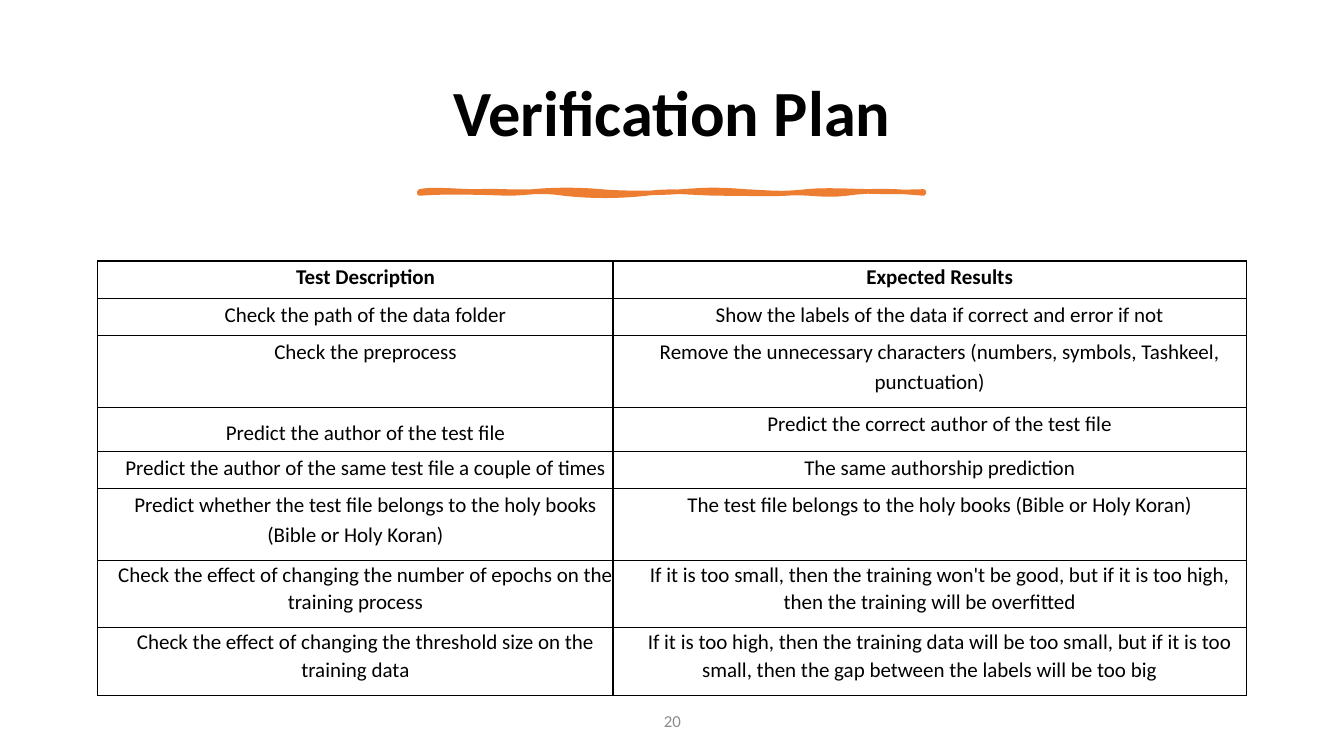
from lxml.etree import SubElement
from pptx import Presentation
from pptx.dml.color import RGBColor
from pptx.enum.text import MSO_ANCHOR as Anchor, PP_ALIGN as Align
from pptx.oxml.ns import qn
from pptx.util import Inches, Pt

BLACK = RGBColor(0x00, 0x00, 0x00)
GRAY = RGBColor(0x8C, 0x8C, 0x8C)
ORANGE = RGBColor(0xED, 0x7D, 0x31)
FONT = "Calibri"

COLUMN_WIDTHS = [5.11, 6.28]
ROW_HEIGHTS = [0.37, 0.37, 0.71, 0.44, 0.37, 0.71, 0.67, 0.67]
TESTS = [
    ("Test Description", "Expected Results"),
    ("Check the path of the data folder",
     "Show the labels of the data if correct and error if not"),
    ("Check the preprocess",
     "Remove the unnecessary characters (numbers, symbols, Tashkeel, punctuation)"),
    ("Predict the author of the test file",
     "Predict the correct author of the test file"),
    ("Predict the author of the same test file a couple of times",
     "The same authorship prediction"),
    ("Predict whether the test file belongs to the holy books (Bible or Holy Koran)",
     "The test file belongs to the holy books (Bible or Holy Koran)"),
    ("Check the effect of changing the number of epochs on the training process",
     "If it is too small, then the training won't be good, but if it is too high, "
     "then the training will be overfitted"),
    ("Check the effect of changing the threshold size on the training data",
     "If it is too high, then the training data will be too small, but if it is too "
     "small, then the gap between the labels will be too big"),
]

STROKE_START = (4.16, 1.9)
STROKE_CURVES = [
    (4.28, 1.87, 4.54, 1.9, 4.73, 1.9),
    (4.92, 1.89, 5.09, 1.91, 5.29, 1.9),
    (5.49, 1.88, 5.74, 1.88, 5.96, 1.9),
    (6.17, 1.92, 6.53, 1.92, 6.77, 1.9),
    (7.02, 1.88, 7.14, 1.88, 7.39, 1.9),
    (7.63, 1.91, 7.74, 1.93, 8, 1.9),
    (8.26, 1.87, 8.67, 1.92, 9.16, 1.9),
    (9.17, 1.91, 9.16, 1.91, 9.16, 1.92),
    (8.95, 1.9, 8.65, 1.88, 8.4, 1.92),
    (8.15, 1.95, 8.01, 1.9, 7.79, 1.92),
    (7.56, 1.93, 7.47, 1.92, 7.17, 1.92),
    (6.87, 1.92, 6.67, 1.88, 6.41, 1.92),
    (6.14, 1.95, 5.85, 1.95, 5.59, 1.92),
    (5.34, 1.88, 5.23, 1.92, 5.03, 1.92),
    (4.83, 1.91, 4.38, 1.9, 4.16, 1.92),
    (4.16, 1.91, 4.16, 1.9, 4.16, 1.9),
]


def format_text(para, size, color, bold=False):
    """Centre a paragraph and style its runs."""
    para.alignment = Align.CENTER
    for span in para.runs:
        span.font.name = FONT
        span.font.size = Pt(size)
        span.font.bold = bold
        span.font.color.rgb = color


def add_label(page, text, left, top, width, height, size, color, bold=False):
    """Add a vertically centred text box."""
    box = page.shapes.add_textbox(Inches(left), Inches(top), Inches(width), Inches(height))
    frame = box.text_frame
    frame.word_wrap = True
    frame.vertical_anchor = Anchor.MIDDLE
    frame.text = text
    para = frame.paragraphs[0]
    para.line_spacing = 0.9 if bold else 1.0
    format_text(para, size, color, bold)


def curve_points(start, curves, steps=8):
    """Return points in EMU along a chain of cubic curves."""
    points = []
    x0, y0 = start
    for x1, y1, x2, y2, x3, y3 in curves:
        for step in range(1, steps + 1):
            t = step / steps
            u = 1 - t
            weights = (u ** 3, 3 * u * u * t, 3 * u * t * t, t ** 3)
            x = sum(w * v for w, v in zip(weights, (x0, x1, x2, x3)))
            y = sum(w * v for w, v in zip(weights, (y0, y1, y2, y3)))
            points.append((Inches(x), Inches(y)))
        x0, y0 = x3, y3
    return points


def add_brush_stroke(page):
    """Draw the wavy stroke below the title."""
    left, top = STROKE_START
    builder = page.shapes.build_freeform(Inches(left), Inches(top))
    builder.add_line_segments(curve_points(STROKE_START, STROKE_CURVES), close=True)
    stroke = builder.convert_to_shape()
    stroke.shadow.inherit = False
    stroke.fill.solid()
    stroke.fill.fore_color.rgb = ORANGE
    stroke.line.color.rgb = ORANGE
    stroke.line.width = Pt(3.25)


def add_borders(cell):
    """Give a cell thin black lines on all sides."""
    properties = cell._tc.get_or_add_tcPr()
    for side in ("a:lnL", "a:lnR", "a:lnT", "a:lnB"):
        line = SubElement(properties, qn(side), w=str(Pt(1)))
        fill = SubElement(line, qn("a:solidFill"))
        SubElement(fill, qn("a:srgbClr"), val=str(BLACK))


def line_spacing(row, column):
    """Return the line spacing used in a table cell."""
    if row >= 6:
        return 1.07
    return 1.5 if (row, column) == (3, 0) else 1.15


def fill_cell(cell, text, spacing, bold):
    """Write one bordered table cell with a first-line indent."""
    add_borders(cell)
    cell.fill.background()
    cell.margin_left = cell.margin_right = cell.margin_top = cell.margin_bottom = 0
    cell.text = text
    para = cell.text_frame.paragraphs[0]
    para.line_spacing = spacing
    para.space_after = Pt(8)
    para._p.get_or_add_pPr().set("indent", str(Inches(0.2)))
    format_text(para, 15, BLACK, bold)


def add_test_table(page):
    """Add the table of tests and expected results."""
    frame = page.shapes.add_table(
        len(TESTS), len(COLUMN_WIDTHS), Inches(0.97), Inches(2.59),
        Inches(sum(COLUMN_WIDTHS)), Inches(sum(ROW_HEIGHTS)))
    table = frame.table
    table.first_row = False
    table.horz_banding = False
    for column, width in zip(table.columns, COLUMN_WIDTHS):
        column.width = Inches(width)
    for row, height in zip(table.rows, ROW_HEIGHTS):
        row.height = Inches(height)
    for row, texts in enumerate(TESTS):
        for column, text in enumerate(texts):
            fill_cell(table.cell(row, column), text, line_spacing(row, column), row == 0)


def main():
    """Build and save the slide."""
    deck = Presentation()
    deck.slide_width = Inches(13.33)
    deck.slide_height = Inches(7.5)
    page = deck.slides.add_slide(deck.slide_layouts[6])
    add_label(page, "Verification Plan", 0.7, 0.46, 11.93, 1.37, 46, BLACK, bold=True)
    add_brush_stroke(page)
    add_test_table(page)
    add_label(page, "20", 4.42, 6.95, 4.5, 0.4, 12, GRAY)
    deck.save("out.pptx")


if __name__ == "__main__":
    main()
